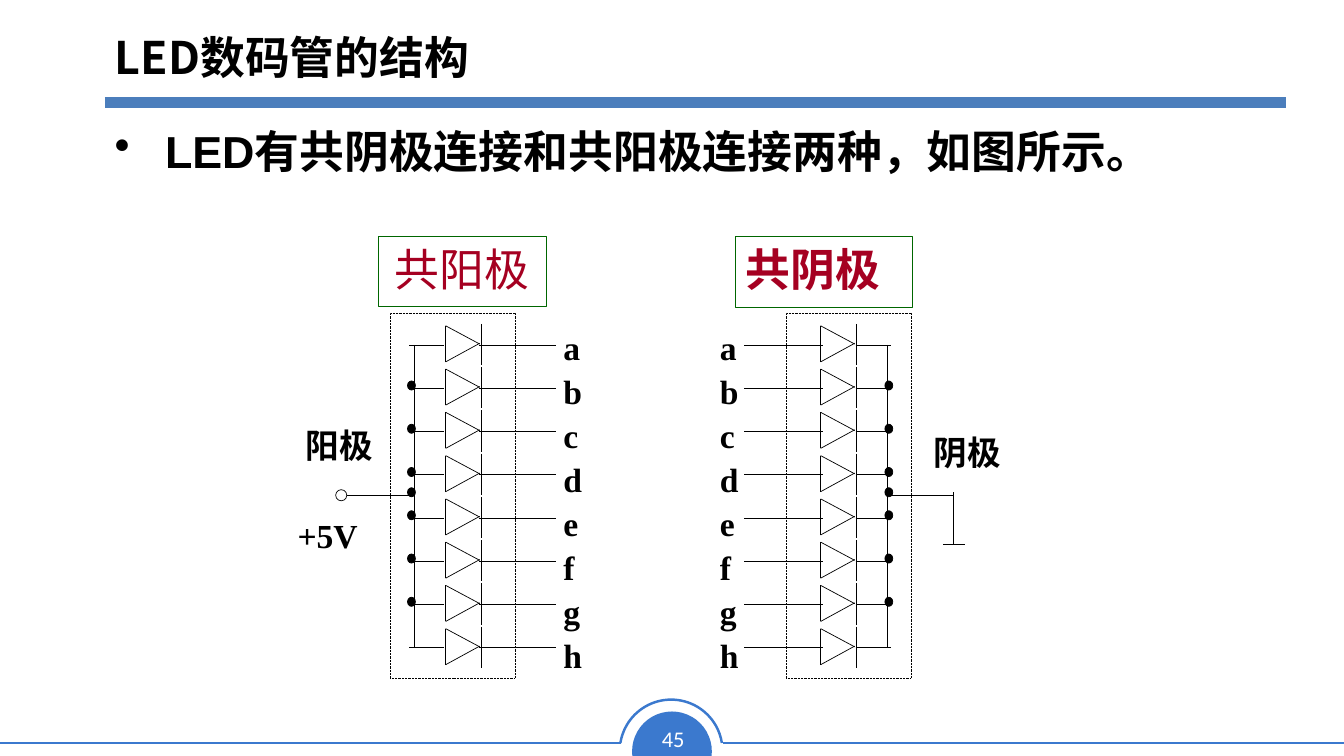
import dataclasses
import pptx
import pptx.dml.color
import pptx.enum.dml
import pptx.enum.shapes
import pptx.enum.text
import pptx.oxml.ns
import pptx.util
from lxml import etree

Cm = pptx.util.Cm
Pt = pptx.util.Pt
Align = pptx.enum.text.PP_ALIGN
Anchor = pptx.enum.text.MSO_ANCHOR
Preset = pptx.enum.shapes.MSO_SHAPE
qn = pptx.oxml.ns.qn


@dataclasses.dataclass(frozen=True)
class Theme:
    ink: str = "000000"
    paper: str = "FFFFFF"
    accent: str = "3B79CE"
    rule: str = "4B7EBC"
    label: str = "A50021"
    frame: str = "006600"
    heading_size: int = 32
    pin_size: int = 24
    number_size: int = 16
    wire: float = 0.5
    chinese: str = "Noto Sans CJK SC"
    serif: str = "Times New Roman"


theme = Theme()


def write(shape, text, size=theme.pin_size, font=theme.serif, color=theme.ink, bold=True,
          align=Align.LEFT, anchor=Anchor.TOP, inset=None, wrap=True, space=0, bullet=None):
    frame = shape.text_frame
    frame.word_wrap = wrap
    frame.vertical_anchor = anchor
    if inset is not None:
        frame.margin_left = frame.margin_right = Cm(inset)
        frame.margin_top = frame.margin_bottom = Cm(inset)
    for index, line in enumerate(text.split("\n")):
        paragraph = frame.add_paragraph() if index else frame.paragraphs[0]
        paragraph.alignment = align
        paragraph.space_before = Pt(space if index else 0)
        if bullet:
            properties = paragraph._p.get_or_add_pPr()
            properties.set("marL", str(Cm(1.27)))
            properties.set("indent", str(-Cm(1.27)))
            etree.SubElement(properties, qn("a:buChar"), char=bullet)
        run = paragraph.add_run()
        run.text = line
        run.font.size = Pt(size)
        run.font.name = font
        run.font.bold = bold
        run.font.color.rgb = pptx.dml.color.RGBColor.from_string(color)
        etree.SubElement(run._r.get_or_add_rPr(), qn("a:ea"), typeface=theme.chinese)


def draw_line(container, start_x, start_y, end_x, end_y, color=theme.ink, width=theme.wire):
    connector = container.shapes.add_connector(
        pptx.enum.shapes.MSO_CONNECTOR.STRAIGHT, Cm(start_x), Cm(start_y), Cm(end_x), Cm(end_y))
    connector.line.color.rgb = pptx.dml.color.RGBColor.from_string(color)
    connector.line.width = Pt(width)
    etree.SubElement(connector._element.spPr, qn("a:effectLst"))


presentation = pptx.Presentation()
presentation.slide_width = Cm(33.87)
presentation.slide_height = Cm(19.05)
slide = presentation.slides.add_slide(presentation.slide_layouts[5])

title = slide.shapes.title
title.left, title.top, title.width, title.height = Cm(2.64), Cm(0.25), Cm(28.88), Cm(2.34)
write(title, "LED数码管的结构", size=theme.heading_size, font=theme.chinese, anchor=Anchor.MIDDLE)
draw_line(slide, 2.64, 2.59, 32.41, 2.59, theme.rule, 8)
for start, end in ((0, 15.65), (18.21, 33.87)):
    draw_line(slide, start, 18.72, end, 18.72, theme.accent, 1.77)

write(slide.shapes.add_textbox(Cm(2.64), Cm(3), Cm(29.64), Cm(2.62)),
      "LED有共阴极连接和共阳极连接两种，如图所示。",
      size=theme.heading_size, font="Arial", align=Align.JUSTIFY, bullet="•")

for text, left, width, height, font, bold, align in (
        ("共阳极", 9.53, 4.24, 1.75, theme.chinese, False, Align.CENTER),
        ("共阴极", 18.54, 4.47, 1.78, "Cabin", True, Align.LEFT)):
    label = slide.shapes.add_textbox(Cm(left), Cm(5.97), Cm(width), Cm(height))
    label.line.color.rgb = pptx.dml.color.RGBColor.from_string(theme.frame)
    label.line.width = Pt(0.75)
    write(label, text, size=theme.heading_size, font=font, color=theme.label, bold=bold, align=align)

anode = slide.shapes.add_group_shape()
cathode = slide.shapes.add_group_shape()
first_row, pitch, supply = 8.69, 1.09, 12.47
outlines = [
    (slide, Preset.CHORD, 15.93, 17.93, 2.01, 2.01, theme.accent, None, 0, (173.5, 6.5)),
    (slide, Preset.ARC, 15.62, 17.63, 2.59, 2.59, None, theme.accent, 1.77, (189, 351)),
    (anode, Preset.OVAL, 8.46, 12.34, 0.28, 0.28, None, theme.ink, theme.wire, ()),
]

for group, case, diode, pin_start, pin_end, inner_start, inner_end, bus, dot, letters in (
        (anode, 9.83, 11.23, 12.07, 14.02, 10.31, 11.2, 10.44, 10.27, 14.17),
        (cathode, 19.81, 20.68, 18.75, 20.73, 21.56, 22.45, 22.35, 22.3, 18.11)):
    outlines.append((group, Preset.RECTANGLE, case, 7.9, 3.15, 9.19, None, theme.ink, theme.wire, ()))
    for row in range(8):
        y = first_row + row * pitch
        tip = diode + 0.86
        for start_x, rise, end_x, drop in (
                (tip + 0.03, -0.53, tip + 0.03, 0.51),
                (diode, -0.48, tip, -0.02),
                (diode, 0.43, tip, -0.04),
                (diode, -0.48, diode, 0.43),
                (pin_start, 0, pin_end, 0),
                (inner_start, 0, inner_end, 0)):
            draw_line(group, start_x, y + rise, end_x, y + drop)
    draw_line(group, bus, first_row, bus, first_row + 7 * pitch)
    for top in [8.51 + row * pitch for row in range(1, 7)] + [12.29]:
        outlines.append((group, Preset.OVAL, dot, top, 0.2, 0.23, theme.ink, theme.ink, theme.wire, ()))
    write(group.shapes.add_textbox(Cm(letters), Cm(8.2), Cm(1.42), Cm(9.25)),
          "\n".join("abcdefgh"), inset=0.03, space=2.7)

draw_line(anode, 8.74, supply, 10.39, supply)
draw_line(cathode, 22.38, supply, 24.03, supply)
draw_line(cathode, 24.03, 12.4, 24.03, 13.72)
draw_line(cathode, 23.77, 13.72, 24.31, 13.72)

for group, text, left, top, align in (
        (anode, "阳极", 7.47, 10.69, Align.RIGHT),
        (anode, "+5V", 7.47, 12.95, Align.LEFT),
        (cathode, "阴极", 23.5, 10.85, Align.LEFT)):
    write(group.shapes.add_textbox(Cm(left), Cm(top), Cm(1.95), Cm(1.32)), text, align=align, inset=0.03)

for container, preset, left, top, width, height, fill, line, weight, angles in outlines:
    shape = container.shapes.add_shape(preset, Cm(left), Cm(top), Cm(width), Cm(height))
    shape.shadow.inherit = False
    for index, angle in enumerate(angles):
        shape.adjustments[index] = angle * 0.6
    if fill:
        shape.fill.solid()
        shape.fill.fore_color.rgb = pptx.dml.color.RGBColor.from_string(fill)
    else:
        shape.fill.background()
    if line:
        shape.line.color.rgb = pptx.dml.color.RGBColor.from_string(line)
        shape.line.width = Pt(weight)
    else:
        shape.line.fill.background()
    if preset == Preset.RECTANGLE:
        shape.line.dash_style = pptx.enum.dml.MSO_LINE.ROUND_DOT

write(slide.shapes.add_textbox(Cm(16.38), Cm(18.14), Cm(1.17), Cm(0.94)), "45",
      size=theme.number_size, font="Calibri", color=theme.paper, bold=False,
      align=Align.CENTER, wrap=False)

presentation.save("out.pptx")
